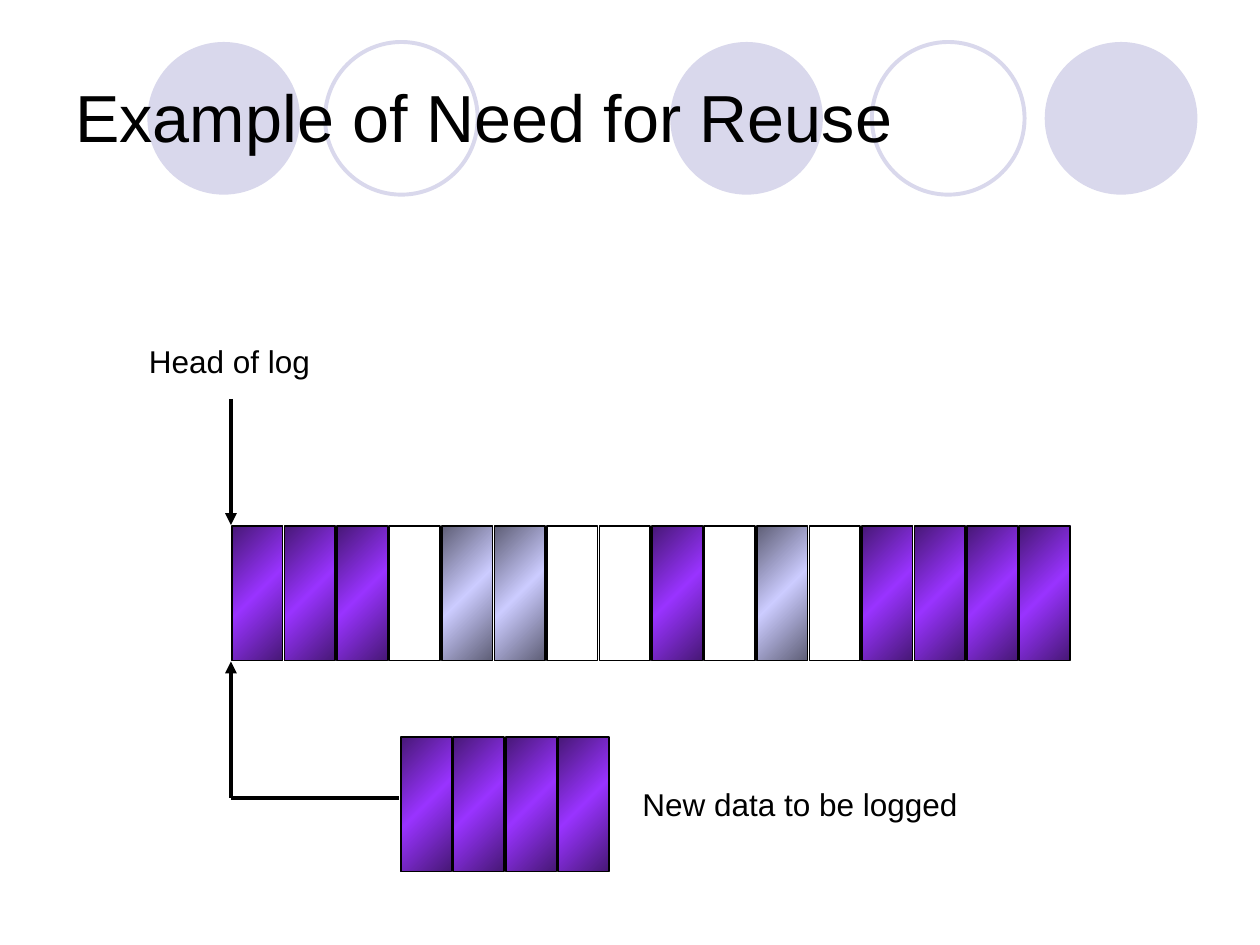
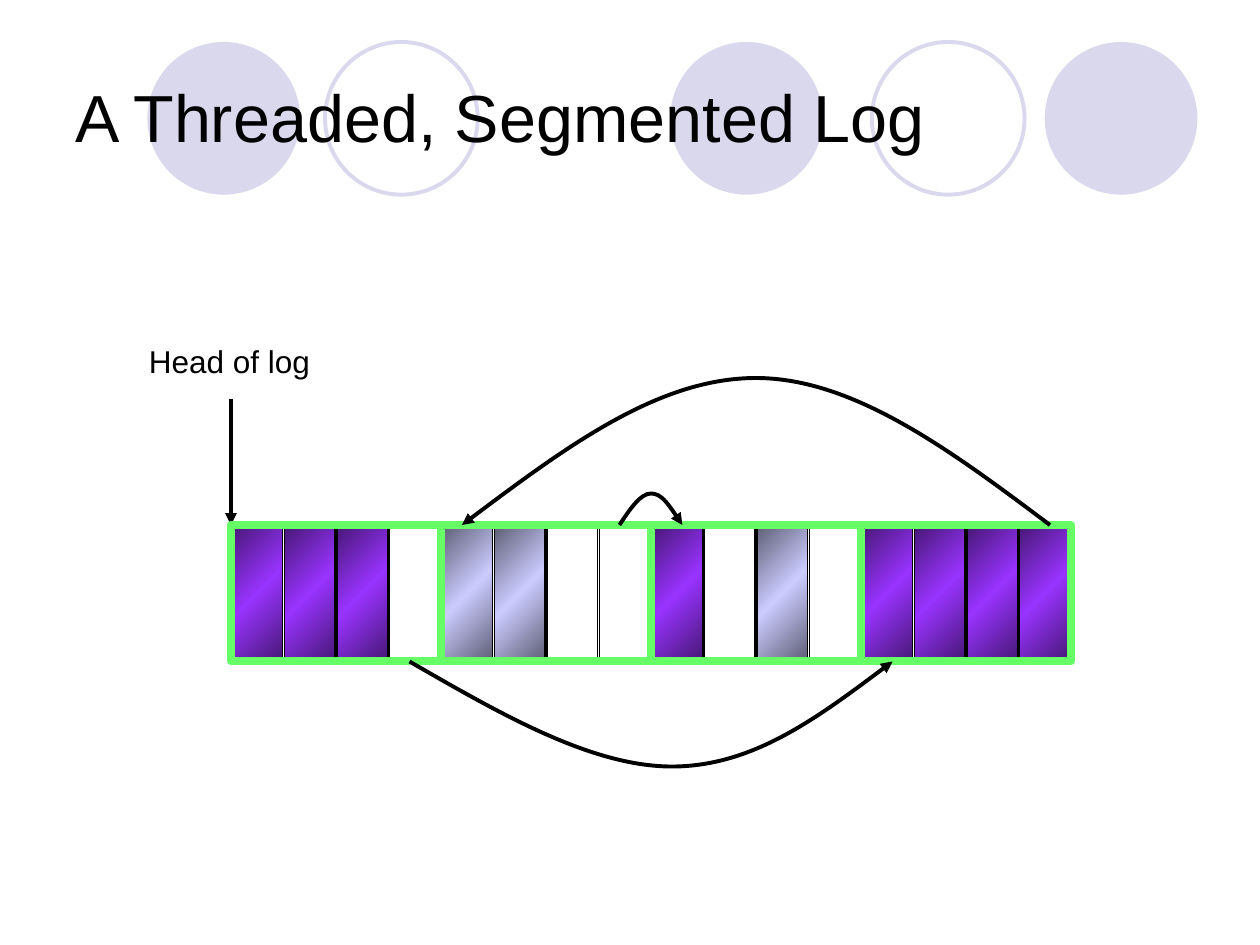
"""Build two slides about reusing space in a log-structured file system."""
from copy import deepcopy
from dataclasses import dataclass

from lxml import etree
from pptx import Presentation
from pptx.dml.color import RGBColor
from pptx.enum import shapes, text
from pptx.oxml import ns
from pptx.util import Pt

COLORS = {
    "ink": "000000",
    "circle": "D9D8EC",
    "segment": "66FF66",
    "live edge": "471876",
    "live middle": "9933FF",
    "stale edge": "5E5E76",
    "stale middle": "CCCCFF",
}
FONT = "Arial"
CIRCLE_SIZE, CIRCLE_TOP = 87.25, 24
BLOCK_PITCH, BLOCK_WIDTH, BLOCK_HEIGHT = 30, 29, 77
LOG_LEFT, LOG_TOP, LOG_BOTTOM = 132, 300, 378
LOG_BLOCKS = "LLL.SS..L.S.LLLL"
BLOCK_KINDS = {"L": "live", "S": "stale"}
SEGMENT_COUNT = 4
SEGMENT_WIDTH = BLOCK_PITCH * len(LOG_BLOCKS) / SEGMENT_COUNT


@dataclass
class Circle:
    left: float
    filled: bool


@dataclass
class Label:
    words: str
    left: float
    top: float
    width: float
    height: float
    size: float = 18
    fixed: bool = False


@dataclass
class Line:
    start: tuple[float, float]
    end: tuple[float, float]
    arrow: bool = False
    color: str = "ink"
    weight: float = 2.25


@dataclass
class Thread:
    start: tuple[float, float]
    controls: list[tuple[float, float]]


CIRCLES = [Circle(383, True), Circle(597, True), Circle(84.25, True),
           Circle(498.25, False), Circle(185.75, False)]
HEAD_LABEL = Label("Head of log", 78, 192, 106.5, 29)
HEAD_ARROW = Line((LOG_LEFT, 228), (LOG_LEFT, LOG_TOP), arrow=True)
NEW_DATA_LABEL = Label("New data to be logged", 360, 445, 194.5, 29)
NEW_DATA_LINES = [
    Line((LOG_LEFT, 456), (LOG_LEFT, LOG_BOTTOM), arrow=True),
    Line((LOG_LEFT, 456), (228, 456)),
]
THREADS = [
    Thread((234, LOG_BOTTOM), [(286, 408), (338, 438), (384, 438),
                               (430, 438), (470, 408), (510, LOG_BOTTOM)]),
    Thread((600, LOG_TOP), [(544, 258), (488, 216), (432, 216),
                            (376, 216), (320, 258), (264, LOG_TOP)]),
    Thread((354, LOG_TOP), [(360, 291), (366, 282), (372, 282),
                            (378, 282), (384, 291), (390, LOG_TOP)]),
]


def rgb(name: str) -> RGBColor:
    return RGBColor.from_string(COLORS[name])


def set_line(shape, color: str, weight: float, arrow: bool = False) -> None:
    shape.line.color.rgb = rgb(color)
    shape.line.width = Pt(weight)
    if arrow:
        outline = shape.element.spPr.find(ns.qn("a:ln"))
        etree.SubElement(outline, ns.qn("a:tailEnd"), type="triangle")


def add_outline(page, kind, left: float, top: float, width: float, height: float):
    shape = page.shapes.add_shape(kind, Pt(left), Pt(top), Pt(width), Pt(height))
    shape.shadow.inherit = False
    shape.fill.background()
    return shape


def add_circle(page, circle: Circle) -> None:
    shape = add_outline(page, shapes.MSO_SHAPE.OVAL, circle.left, CIRCLE_TOP,
                        CIRCLE_SIZE, CIRCLE_SIZE)
    if circle.filled:
        shape.fill.solid()
        shape.fill.fore_color.rgb = rgb("circle")
        shape.line.fill.background()
    else:
        set_line(shape, "circle", 2.25)


def add_label(page, label: Label) -> None:
    box = page.shapes.add_textbox(Pt(label.left), Pt(label.top),
                                  Pt(label.width), Pt(label.height))
    frame = box.text_frame
    frame.text = label.words
    frame.word_wrap = label.fixed
    if label.fixed:
        frame.vertical_anchor = text.MSO_ANCHOR.MIDDLE
    else:
        frame.auto_size = text.MSO_AUTO_SIZE.SHAPE_TO_FIT_TEXT
    font = frame.paragraphs[0].runs[0].font
    font.name, font.size = FONT, Pt(label.size)
    font.color.rgb = rgb("ink")


def add_line(page, line: Line):
    connector = page.shapes.add_connector(
        shapes.MSO_CONNECTOR.STRAIGHT, *map(Pt, line.start + line.end))
    set_line(connector, line.color, line.weight, line.arrow)
    etree.SubElement(connector.element.spPr, ns.qn("a:effectLst"))
    return connector


def fill_block(shape, kind: str) -> None:
    shape.fill.gradient()
    shape.fill.gradient_angle = 315
    stop_list = next(shape.element.spPr.iter(ns.qn("a:gsLst")))
    stop_list.append(deepcopy(stop_list[0]))
    parts = ("edge", "middle", "edge")
    for stop, part, position in zip(shape.fill.gradient_stops, parts, (0, 0.5, 1)):
        stop.color.rgb = rgb(f"{kind} {part}")
        stop.position = position


def add_blocks(page, pattern: str, left: float, top: float) -> None:
    for index, code in enumerate(pattern):
        block = add_outline(page, shapes.MSO_SHAPE.RECTANGLE,
                            left + index * BLOCK_PITCH, top, BLOCK_WIDTH, BLOCK_HEIGHT)
        if code in BLOCK_KINDS:
            fill_block(block, BLOCK_KINDS[code])
        set_line(block, "ink", 1)


def add_segments(page) -> None:
    frame = add_outline(page, shapes.MSO_SHAPE.RECTANGLE, LOG_LEFT, LOG_TOP,
                        SEGMENT_COUNT * SEGMENT_WIDTH, LOG_BOTTOM - LOG_TOP)
    set_line(frame, "segment", 4.5)
    for index in range(1, SEGMENT_COUNT):
        x = LOG_LEFT + index * SEGMENT_WIDTH
        divider = add_line(page, Line((x, LOG_TOP), (x, LOG_BOTTOM),
                                      color="segment", weight=4.5))
        if index * 2 == SEGMENT_COUNT:
            divider.begin_connect(frame, 0)
            divider.end_connect(frame, 2)


def add_thread(page, thread: Thread) -> None:
    builder = page.shapes.build_freeform(*map(Pt, thread.start))
    builder.add_line_segments([(Pt(x), Pt(y)) for x, y in thread.controls], close=False)
    shape = builder.convert_to_shape()
    shape.shadow.inherit = False
    shape.fill.background()
    set_line(shape, "ink", 2.25, arrow=True)
    steps = list(shape.element.iter(ns.qn("a:lnTo")))
    outline = steps[0].getparent()
    for first in range(0, len(steps), 3):
        curve = etree.SubElement(outline, ns.qn("a:cubicBezTo"))
        for step in steps[first:first + 3]:
            curve.append(step[0])
            outline.remove(step)


def add_log_page(deck, title: str):
    page = deck.slides.add_slide(deck.slide_layouts[6])
    for circle in CIRCLES:
        add_circle(page, circle)
    add_label(page, Label(title, 36, 21.5, 648, 90, size=38, fixed=True))
    add_blocks(page, LOG_BLOCKS, LOG_LEFT + 0.5, LOG_TOP + 0.5)
    add_line(page, HEAD_ARROW)
    add_label(page, HEAD_LABEL)
    return page


def main() -> None:
    deck = Presentation()
    deck.slide_width, deck.slide_height = Pt(720), Pt(540)

    reuse = add_log_page(deck, "Example of Need for Reuse")
    add_blocks(reuse, "LLLL", 229, 421)
    for line in NEW_DATA_LINES:
        add_line(reuse, line)
    add_label(reuse, NEW_DATA_LABEL)

    threaded = add_log_page(deck, "A Threaded, Segmented Log")
    add_segments(threaded)
    for thread in THREADS:
        add_thread(threaded, thread)

    deck.save("out.pptx")


if __name__ == "__main__":
    main()
